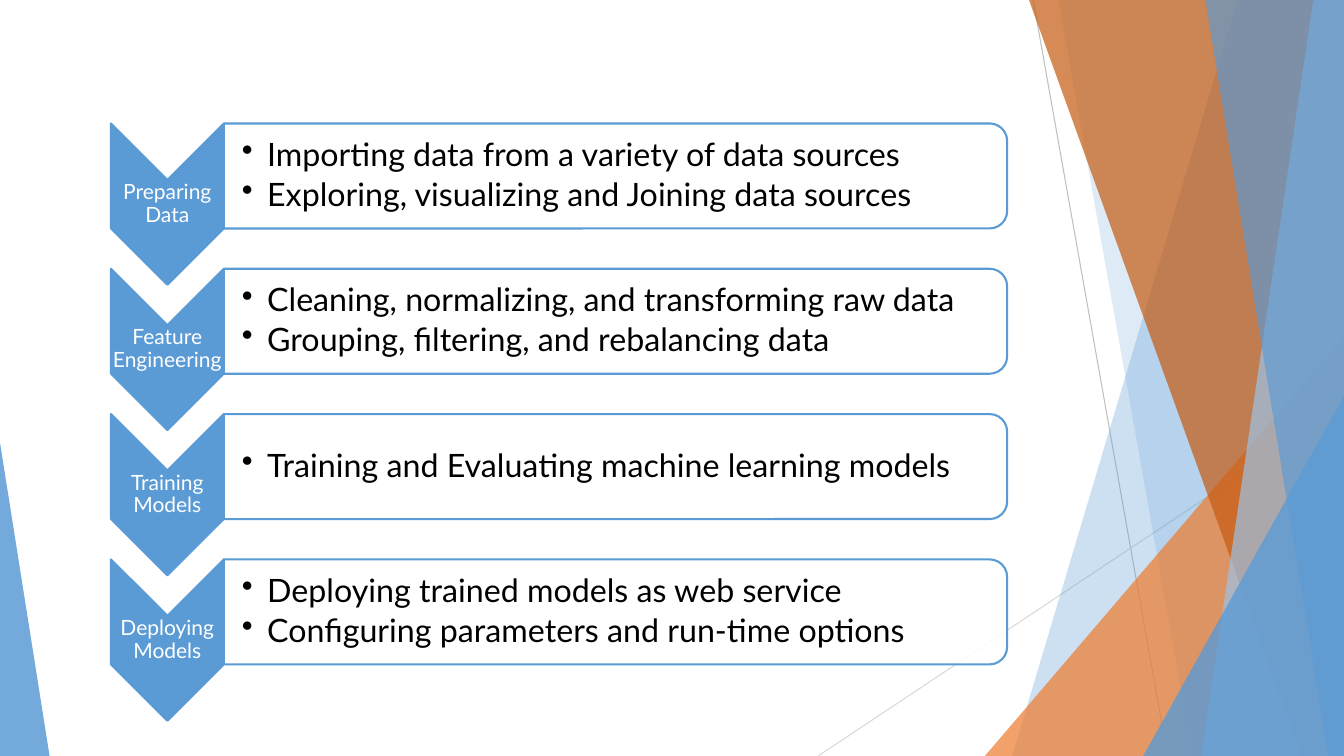
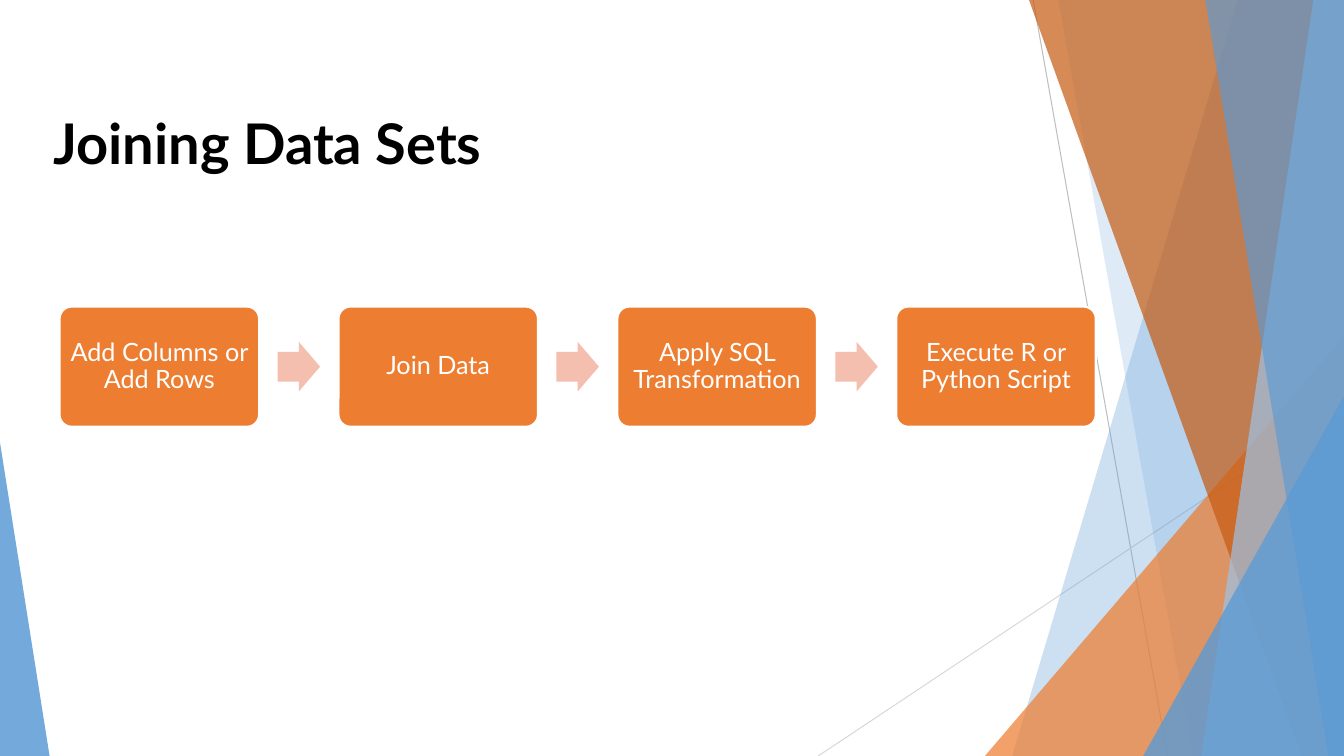
from lxml.etree import SubElement
from pptx import Presentation
from pptx.dml.color import RGBColor
from pptx.enum.shapes import MSO_CONNECTOR, MSO_SHAPE as Preset
from pptx.enum.text import MSO_ANCHOR as Anchor, PP_ALIGN as Align
from pptx.oxml.ns import qn
from pptx.util import Inches, Pt

COLUMNS, ROWS = 32, 18
COLORS = {
    "blue": "5B9BD5",
    "light blue": "9DC3E6",
    "orange": "ED7D31",
    "dark orange": "C55A11",
    "pale orange": "F4BFAE",
    "gray": "BFBFBF",
    "light gray": "D9D9D9",
    "black": "000000",
    "white": "FFFFFF",
}

STAGES = [
    ("Preparing Data", ["Importing data from a variety of data sources",
                        "Exploring, visualizing and Joining data sources"]),
    ("Feature Engineering", ["Cleaning, normalizing, and transforming raw data",
                             "Grouping, filtering, and rebalancing data"]),
    ("Training Models", ["Training and Evaluating machine learning models"]),
    ("Deploying Models", ["Deploying trained models as web service",
                          "Configuring parameters and run-time options"]),
]
JOIN_STEPS = ["Add Columns or Add Rows", "Join Data",
              "Apply SQL Transformation", "Execute R or Python Script"]


def color(name):
    return RGBColor.from_string(COLORS[name])


class Deck:
    """Holds the style and the current slide; lengths are grid cells."""

    font_name = "Lato"

    def __init__(self):
        self.presentation = Presentation()
        self.presentation.slide_width = Inches(13.33)
        self.presentation.slide_height = Inches(7.5)
        self.cell_width = self.presentation.slide_width / COLUMNS
        self.cell_height = self.presentation.slide_height / ROWS
        self.slide = None

    def x(self, columns):
        return round(columns * self.cell_width)

    def y(self, rows):
        return round(rows * self.cell_height)

    def place(self, left, top, width, height):
        return self.x(left), self.y(top), self.x(width), self.y(height)

    # Slide and its shared decoration
    def new_slide(self):
        self.slide = self.presentation.slides.add_slide(
            self.presentation.slide_layouts[6])
        self.line((24.6, 0), (27.8, ROWS), "gray")
        self.line((COLUMNS, 9.67), (19.48, ROWS), "light gray")
        self.band(29.47, 24.1, "blue", 30)
        self.band(25.2, 28.4, "blue", 20)
        self.corner(8.55, 10, "orange", 72)
        self.band(24.5, 31, "dark orange", 70)
        self.band(31.27, 28.6, "light blue", 70)
        self.band(28.7, 31.63, "blue", 65)
        self.corner(4.78, 8.57, "blue", 80)
        self.corner(1.18, 7.46, "blue", 85, on_left=True)

    def line(self, start, end, line_color):
        connector = self.slide.shapes.add_connector(
            MSO_CONNECTOR.STRAIGHT, self.x(start[0]), self.y(start[1]),
            self.x(end[0]), self.y(end[1]))
        connector.line.color.rgb = color(line_color)
        connector.line.width = Pt(0.75)
        SubElement(connector.element.spPr, qn("a:effectLst"))

    def band(self, top_x, bottom_x, fill, opacity):
        """Fill everything right of a slanted edge."""
        builder = self.slide.shapes.build_freeform(self.x(top_x), 0)
        builder.add_line_segments([
            (self.x(COLUMNS), 0), (self.x(COLUMNS), self.y(ROWS)),
            (self.x(bottom_x), self.y(ROWS))], close=True)
        self.paint(builder.convert_to_shape(), fill, opacity)

    def corner(self, width, height, fill, opacity, on_left=False):
        """Right triangle standing in a bottom corner."""
        left = 0 if on_left else COLUMNS - width
        self.shape(Preset.ISOSCELES_TRIANGLE,
                   (left, ROWS - height, width, height), fill,
                   opacity=opacity, adjustments=[0 if on_left else 1])

    # Shapes
    def paint(self, shape, fill, opacity=100, outline=None):
        shape.shadow.inherit = False
        shape.fill.solid()
        shape.fill.fore_color.rgb = color(fill)
        if opacity < 100:
            rgb = shape.element.spPr.find(qn("a:solidFill"))[0]
            SubElement(rgb, qn("a:alpha"), val=str(opacity * 1000))
        if outline:
            shape.line.color.rgb = color(outline)
            shape.line.width = Pt(1.5)
        else:
            shape.line.fill.background()

    def shape(self, preset, box, fill, opacity=100, outline=None,
              adjustments=()):
        shape = self.slide.shapes.add_shape(preset, *self.place(*box))
        for index, value in enumerate(adjustments):
            shape.adjustments[index] = value
        self.paint(shape, fill, opacity, outline)
        return shape

    def turned_shape(self, preset, box, fill, **style):
        """Shape turned by 90 degrees that covers the given box."""
        shape = self.shape(preset, box, fill, **style)
        left, top, width, height = self.place(*box)
        shape.left = left + (width - height) // 2
        shape.top = top + (height - width) // 2
        shape.width, shape.height = height, width
        shape.rotation = 90

    # Text
    def text_box(self, box, lines, size, **style):
        shape = self.slide.shapes.add_textbox(*self.place(*box))
        self.set_text(shape, lines, size, **style)

    def set_text(self, shape, lines, size, text_color="white", inset=0.02,
                 left_inset=None, align=Align.CENTER, anchor=Anchor.MIDDLE,
                 spacing=0.9, bold=False, bullets=False):
        frame = shape.text_frame
        frame.word_wrap = True
        frame.vertical_anchor = anchor
        frame.margin_left = self.x(inset if left_inset is None else left_inset)
        frame.margin_right = self.x(inset)
        frame.margin_top = frame.margin_bottom = self.y(inset)
        frame.text = "\n".join(lines)
        for paragraph in frame.paragraphs:
            paragraph.alignment = align
            paragraph.line_spacing = spacing
            font = paragraph.font
            font.name, font.size, font.bold = self.font_name, Pt(size), bold
            font.color.rgb = color(text_color)
            if bullets:
                self.add_bullet(paragraph)

    def add_bullet(self, paragraph):
        paragraph.space_after = Pt(3.5)
        properties = paragraph._p.get_or_add_pPr()
        properties.set("marL", str(Inches(0.25)))
        properties.set("indent", str(-Inches(0.25)))
        bullet = SubElement(properties, qn("a:buChar"), char="•")
        properties.find(qn("a:defRPr")).addprevious(bullet)

    def title(self, text):
        self.text_box((1.03, 2.47, 23.81, 1.85), [text], 40,
                      text_color="black", inset=0.12, left_inset=0.24,
                      align=Align.LEFT, anchor=Anchor.TOP, spacing=1,
                      bold=True)

    # Diagrams
    def stage(self, top, name, tasks):
        chevron = (2.64, top, 2.69, 3.84)
        panel = (5.33, top, 18.65, 2.5)
        self.turned_shape(Preset.CHEVRON, chevron, "blue", outline="blue")
        self.text_box(chevron, [name], 15)
        self.turned_shape(Preset.ROUND_2_SAME_RECTANGLE, panel, "white",
                          opacity=90, outline="blue")
        self.text_box(panel, tasks, 23, text_color="black", inset=0.05,
                      left_inset=0.43, align=Align.LEFT, bullets=True)

    def process(self, steps, left, top, width, height, pitch):
        arrow_width, arrow_height = 1.01, 1.18
        gap = pitch - width
        for index, step in enumerate(steps):
            step_left = left + index * pitch
            if index:
                self.shape(Preset.RIGHT_ARROW,
                           (step_left - (gap + arrow_width) / 2,
                            top + (height - arrow_height) / 2,
                            arrow_width, arrow_height),
                           "pale orange", adjustments=[0.6, 0.5])
            box = self.shape(Preset.ROUNDED_RECTANGLE,
                             (step_left, top, width, height), "orange",
                             outline="white", adjustments=[0.1])
            self.set_text(box, [step], 18, inset=0.17)


def main():
    deck = Deck()

    # Stages of a machine learning project
    deck.new_slide()
    for index, (name, tasks) in enumerate(STAGES):
        deck.stage(2.94 + index * 3.46, name, tasks)

    # Ways to join data
    deck.new_slide()
    deck.title("Joining Data Sets")
    deck.process(JOIN_STEPS, left=1.42, top=7.3, width=4.75, height=2.86,
                 pitch=6.64)

    deck.presentation.save("out.pptx")


if __name__ == "__main__":
    main()
